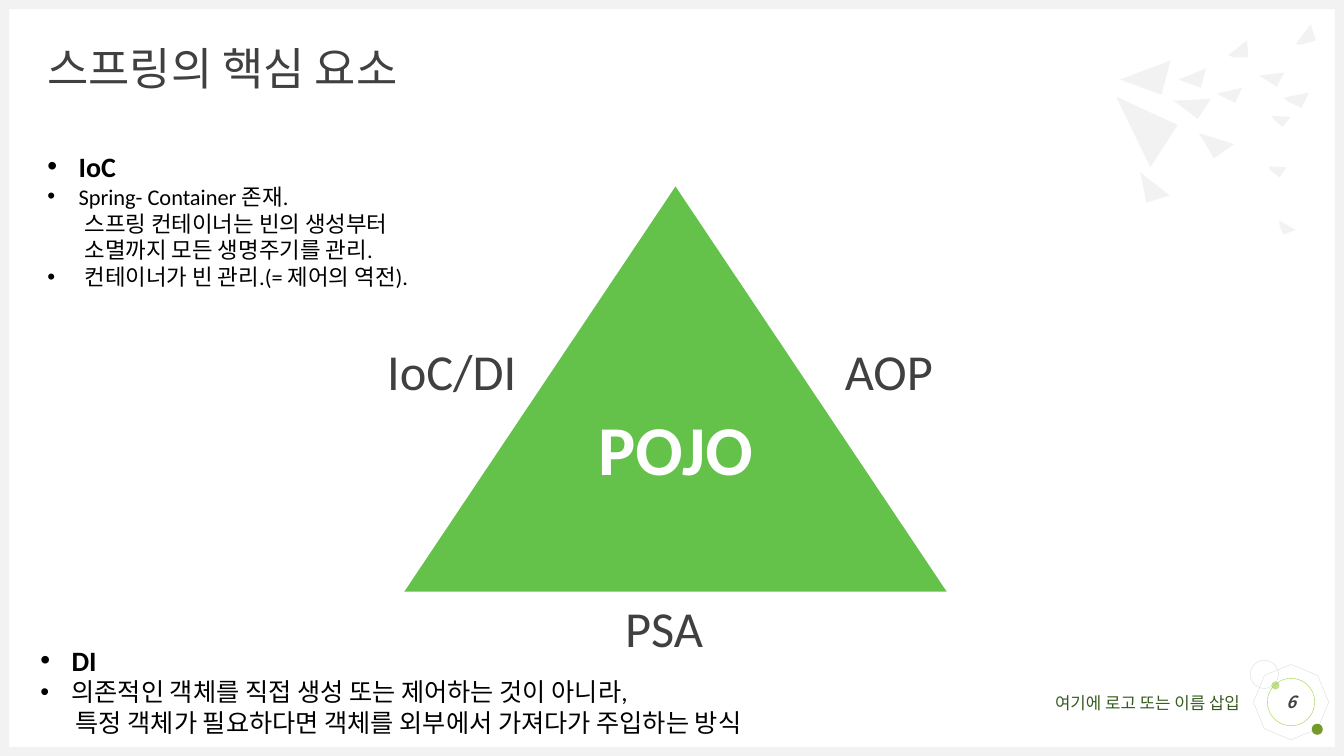
import pptx
import pptx.util
from lxml import etree
from pptx.dml.color import RGBColor
from pptx.enum.shapes import MSO_SHAPE
from pptx.enum.text import MSO_ANCHOR, MSO_AUTO_SIZE, PP_ALIGN
from pptx.oxml.ns import qn

PX = 9144  # 100 px to the inch
COLORS = {
    "page": "FFFFFF", "frame": "F2F2F2", "ink": "404040", "black": "000000",
    "green": "64C24A", "footer": "375C1E", "ring": "9ACB39",
    "lime": "C2E088", "olive": "749A29", "outline": "D9D9D9",
}
LATIN, KOREAN = "Calibri", "Noto Sans CJK KR"


def color(name):
    return RGBColor.from_string(COLORS[name])


class SlideMaker:
    """Holds the style and the current slide."""

    def __init__(self, deck):
        self.page = deck.slides.add_slide(deck.slide_layouts[5])
        self.page.background.fill.solid()
        self.page.background.fill.fore_color.rgb = color("page")

    def paint(self, shape, fill=None, line=None):
        shape.shadow.inherit = False
        if fill:
            shape.fill.solid()
            shape.fill.fore_color.rgb = color(fill)
        else:
            shape.fill.background()
        if line:
            shape.line.color.rgb = color(line)
            shape.line.width = pptx.util.Pt(0.25)
        else:
            shape.line.fill.background()
        return shape

    def shape(self, kind, place, fill=None, line=None, rotation=0):
        shape = self.page.shapes.add_shape(kind, *(v * PX for v in place))
        shape.rotation = rotation
        return self.paint(shape, fill, line)

    def shard(self, points):
        builder = self.page.shapes.build_freeform(*points[0], scale=PX)
        builder.add_line_segments(points[1:], close=True)
        self.paint(builder.convert_to_shape(), "frame")

    def frame(self, shape, anchor=MSO_ANCHOR.TOP, wrap=True, bottom=0):
        frame = shape.text_frame
        settings = {
            "margin_left": 0, "margin_right": 0, "margin_top": 0,
            "margin_bottom": bottom * PX, "vertical_anchor": anchor,
            "word_wrap": wrap, "auto_size": MSO_AUTO_SIZE.NONE,
        }
        for name, value in settings.items():
            setattr(frame, name, value)
        return frame

    def add_text(self, para, text, size, ink="ink", font=LATIN,
                 align=PP_ALIGN.LEFT, **extra):
        para.alignment = align
        span = para.add_run()
        span.text = text
        span.font.color.rgb = color(ink)
        settings = {"name": font, "size": pptx.util.Pt(size), **extra}
        for name, value in settings.items():
            setattr(span.font, name, value)
        east = etree.SubElement(span._r.get_or_add_rPr(), qn("a:ea"))
        east.set("typeface", KOREAN)

    def box(self, place, wrap=False):
        box = self.page.shapes.add_textbox(*(v * PX for v in place))
        return self.frame(box, wrap=wrap)

    def title(self, place, text):
        title = self.page.shapes.title
        for name, value in zip(("left", "top", "width", "height"), place):
            setattr(title, name, value * PX)
        para = self.frame(title, MSO_ANCHOR.MIDDLE).paragraphs[0]
        para.line_spacing = 0.9
        self.add_text(para, text, 32, font=KOREAN)

    def bullet_block(self, place, heading, size, lines):
        """A bold heading and lines given as (text, indent, bulleted)."""
        frame = self.box(place)
        rows = [(heading, 31, True, 20)] + [(*line, size) for line in lines]
        for index, (text, indent, bulleted, points) in enumerate(rows):
            para = frame.add_paragraph() if index else frame.paragraphs[0]
            props = para._p.get_or_add_pPr()
            props.set("marL", str(indent * PX))
            props.set("indent", str(-indent * PX if bulleted else 0))
            if bulleted:
                etree.SubElement(props, qn("a:buFont")).set("typeface", "Arial")
                etree.SubElement(props, qn("a:buChar")).set("char", "•")
            self.add_text(para, text, points, "black", bold=index == 0)


SHARDS = [
    [(1161, 60), (1152, 94), (1111, 79)],
    [(1201, 98), (1188, 118), (1164, 100)],
    [(1196, 68), (1191, 87), (1169, 79)],
    [(1232, 87), (1225, 102), (1207, 93)],
    [(1237, 40), (1238, 57), (1224, 57), (1218, 55)],
    [(1280, 116), (1272, 126), (1264, 119), (1261, 115)],
    [(1300, 24), (1305, 40), (1292, 44), (1285, 44)],
    [(1274, 72), (1266, 86), (1249, 75)],
    [(1298, 92), (1291, 107), (1278, 101), (1273, 97)],
    [(1168, 124), (1141, 166), (1107, 96)],
    [(1224, 143), (1204, 157), (1189, 132)],
    [(1276, 166), (1269, 176), (1260, 169), (1258, 165)],
    [(1160, 194), (1137, 201), (1131, 171)],
    [(1285, 228), (1273, 233), (1269, 223), (1269, 219)],
]


def main():
    deck = pptx.Presentation()
    deck.slide_width, deck.slide_height = 1333 * PX, 750 * PX
    maker = SlideMaker(deck)

    # Corner ornament and footer
    maker.shape(MSO_SHAPE.OCTAGON, (1246, 662, 69, 69), line="outline", rotation=22.7)
    maker.shape(MSO_SHAPE.OVAL, (1261, 676, 8, 8), "lime")
    maker.shape(MSO_SHAPE.OVAL, (1301, 718, 11, 11), "olive")
    footer = maker.box((955, 687, 275, 20), wrap=True)
    maker.add_text(footer.paragraphs[0], "여기에 로고 또는 이름 삽입", 12, "footer",
                   KOREAN, PP_ALIGN.RIGHT)
    maker.shape(MSO_SHAPE.OVAL, (1240, 655, 28, 28), line="outline")

    # Frame around the page
    for edge in ((0, 741, 1333, 9), (0, 0, 1333, 9),
                 (0, 0, 9, 750), (1324, 0, 9, 750)):
        maker.shape(MSO_SHAPE.RECTANGLE, edge, "frame")

    # Scattered shards
    for points in SHARDS:
        maker.shard(points)

    # Title and page number
    maker.title((47, 47, 1240, 47), "스프링의 핵심 요소")
    ring = maker.shape(MSO_SHAPE.OVAL, (1257, 673, 47, 47), line="ring")
    number = maker.frame(ring, MSO_ANCHOR.MIDDLE)
    maker.add_text(number.paragraphs[0], "6", 12, font=KOREAN,
                   align=PP_ALIGN.CENTER, bold=True, italic=True)

    # Triangle and its side labels
    triangle = maker.shape(MSO_SHAPE.ISOSCELES_TRIANGLE, (401, 185, 538, 402), "green")
    core = maker.frame(triangle, MSO_ANCHOR.MIDDLE, bottom=85)
    maker.add_text(core.paragraphs[0], "POJO", 50, "page",
                   align=PP_ALIGN.CENTER, bold=True)
    for text, left, top in (("IoC/DI", 384, 337), ("AOP", 838, 337), ("PSA", 620, 592)):
        label = maker.box((left, top, 100, 49))
        maker.add_text(label.paragraphs[0], text, 36)

    # Explanations
    maker.bullet_block((47, 148, 441, 148), "IoC", 16, [
        ("Spring- Container 존재.", 31, True),
        ("스프링 컨테이너는 빈의 생성부터", 37, False),
        ("소멸까지 모든 생명주기를 관리.", 37, False),
        ("컨테이너가 빈 관리.(= 제어의 역전).", 37, True),
    ])
    maker.bullet_block((40, 638, 441, 86), "DI", 18, [
        ("의존적인 객체를 직접 생성 또는 제어하는 것이 아니라,", 31, True),
        ("특정 객체가 필요하다면 객체를 외부에서 가져다가 주입하는 방식", 35, False),
    ])

    deck.save("out.pptx")


if __name__ == "__main__":
    main()
